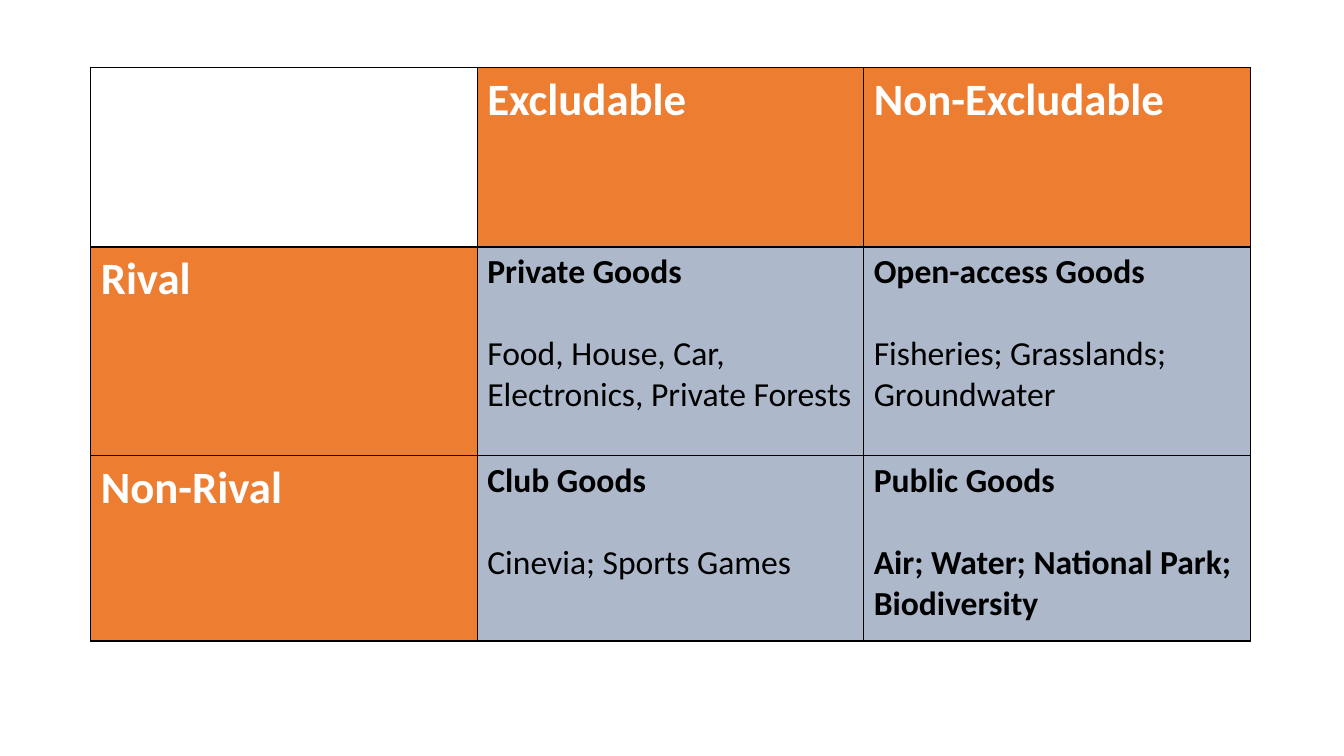
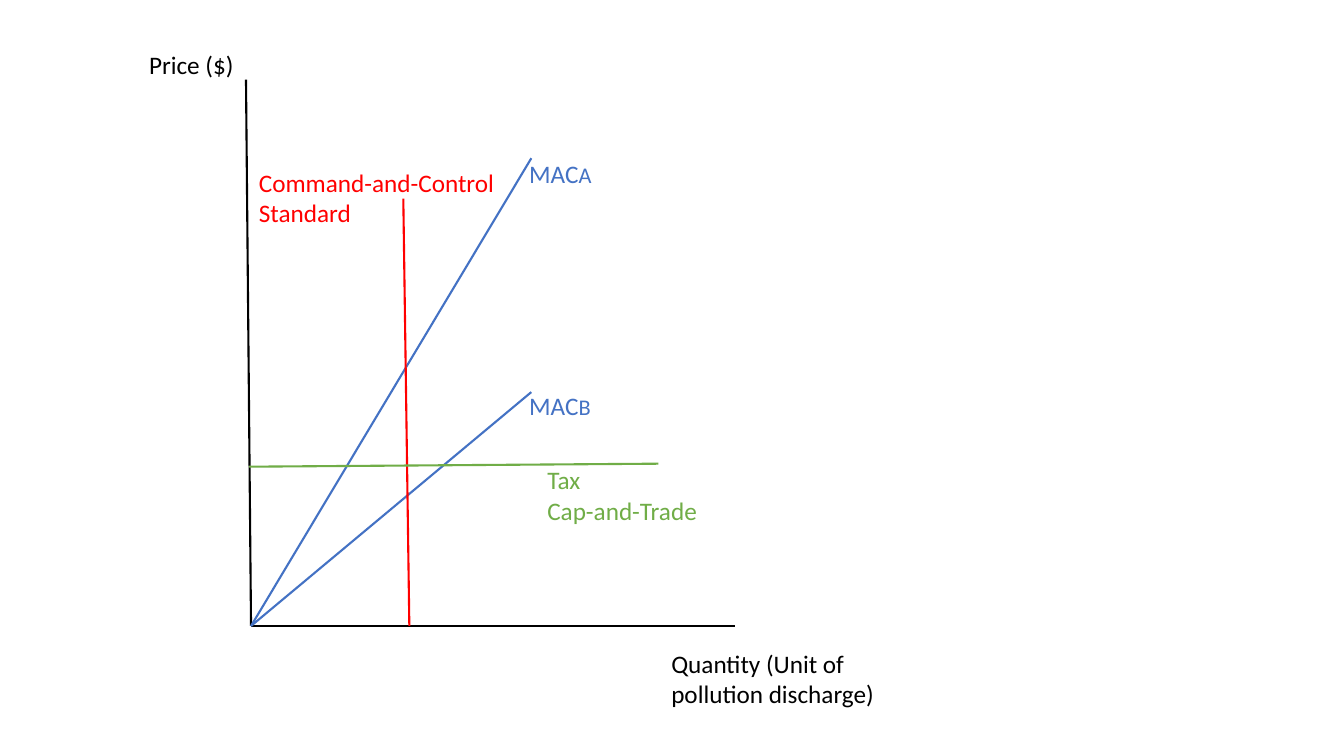
import pptx
import pptx.util
import pptx.dml.color
import pptx.enum.shapes
import pptx.enum.text
import pptx.oxml
import pptx.oxml.ns
from pptx.util import Inches, Pt

SLIDE_WIDTH, SLIDE_HEIGHT = 13.33, 7.5
FONT = "Calibri"
COLORS = {
    "black": "000000", "white": "FFFFFF", "header": "ED7D31", "goods": "ADB9CA",
    "cost": "4472C4", "standard": "FF0000", "tax": "70AD47",
}

# Text formats shared by both slides
HEADER = {"size": Pt(32), "bold": True, "color": "white"}
GOODS = {"size": Pt(24), "bold": True, "color": "black"}
EXAMPLES = {**GOODS, "bold": False}
LABEL = {"size": Pt(18), "bold": False}
SUFFIX = {**LABEL, "size": Pt(16)}


def rgb(name):
    return pptx.dml.color.RGBColor.from_string(COLORS[name])


def add_span(para, text, style):
    span = para.add_run()
    span.text = text
    for name, value in {"name": FONT, **style}.items():
        if name == "color":
            span.font.color.rgb = rgb(value)
        else:
            setattr(span.font, name, value)


def write_paras(frame, paras):
    """Fill a text frame; each paragraph is a list of (text, style) spans."""
    for index, spans in enumerate(paras):
        para = frame.paragraphs[0] if index == 0 else frame.add_paragraph()
        for text, style in spans:
            add_span(para, text, style)


# Table of goods
def add_borders(cell):
    properties = cell._tc.get_or_add_tcPr()
    for index, side in enumerate(("lnL", "lnR", "lnT", "lnB")):
        properties.insert(index, pptx.oxml.parse_xml(
            f'<a:{side} {pptx.oxml.ns.nsdecls("a")} w="{Pt(1)}"><a:solidFill>'
            f'<a:srgbClr val="{COLORS["black"]}"/></a:solidFill></a:{side}>'))


def add_goods_table(page, box, row_heights, rows):
    shape = page.shapes.add_table(len(rows), len(rows[0]), *map(Inches, box))
    table = shape.table
    table.first_row = table.horz_banding = False
    for column in table.columns:
        column.width = Inches(box[2] / len(rows[0]))
    for row, height in zip(table.rows, row_heights):
        row.height = Inches(height)
    for row_index, row in enumerate(rows):
        for column_index, spans in enumerate(row):
            cell = table.cell(row_index, column_index)
            write_paras(cell.text_frame, [[span] for span in spans])
            # Examples stand one line below the kind of goods
            for para in cell.text_frame.paragraphs[1:]:
                para.space_before = Pt(29.3)
            if spans:
                cell.fill.solid()
                is_header = row_index == 0 or column_index == 0
                cell.fill.fore_color.rgb = rgb("header" if is_header else "goods")
            else:
                cell.fill.background()
            add_borders(cell)


def build_goods_page(page):
    def goods(kind, examples, style=EXAMPLES):
        return [(kind, GOODS), (examples, style)]

    rows = [
        [[], [("Excludable", HEADER)], [("Non-Excludable", HEADER)]],
        [[("Rival", HEADER)],
         goods("Private Goods", "Food, House, Car, Electronics, Private Forests"),
         goods("Open-access Goods", "Fisheries; Grasslands; Groundwater")],
        [[("Non-Rival", HEADER)],
         goods("Club Goods", "Cinevia; Sports Games"),
         goods("Public Goods", "Air; Water; National Park; Biodiversity", GOODS)],
    ]
    add_goods_table(page, (0.9, 0.67, 11.5, 5.69), (1.78, 2.07, 1.84), rows)


# Abatement cost diagram, on a grid of 80 columns by 70 rows
def build_cost_page(page, box=(1, 0.2, 8, 7), columns=80, rows=70):
    left, top, width, height = box

    def place(column, row):
        return (Inches(left + column * width / columns),
                Inches(top + row * height / rows))

    def add_line(start, end, color):
        line = page.shapes.add_connector(
            pptx.enum.shapes.MSO_CONNECTOR.STRAIGHT, *place(*start), *place(*end))
        line.line.color.rgb = rgb(color)
        line.line.width = Pt(1.5)
        line._element.spPr.append(pptx.oxml.parse_xml(
            f'<a:effectLst {pptx.oxml.ns.nsdecls("a")}/>'))

    def add_label(at, span_columns, span_rows, color, paras):
        size = (Inches(span_columns * width / columns),
                Inches(span_rows * height / rows))
        frame = page.shapes.add_textbox(*place(*at), *size).text_frame
        frame.word_wrap = True
        frame.auto_size = pptx.enum.text.MSO_AUTO_SIZE.SHAPE_TO_FIT_TEXT
        write_paras(frame, [[(text, {**style, "color": color}) for text, style in spans]
                            for spans in paras])

    # Axes, cost curves and policy lines
    origin = (14.9, 60.1)
    for start, end, color in [
        ((14.4, 5.9), origin, "black"),
        (origin, (62.9, 60.1), "black"),
        ((42.7, 36.9), origin, "cost"),
        ((42.7, 13.7), origin, "cost"),
        ((30, 17.7), (30.6, 60.1), "standard"),
        ((14.7, 44.3), (55.3, 44), "tax"),
    ]:
        add_line(start, end, color)

    # Labels
    for at, span_columns, span_rows, color, lines in [
        ((3.8, 2.4), 13.8, 4, "black", ["Price ($)"]),
        ((55.6, 61.8), 23.7, 7.1, "black", ["Quantity (Unit of pollution discharge)"]),
        ((14.7, 14.1), 26.4, 7.1, "standard", ["Command-and-Control Standard"]),
        ((43.3, 43.6), 26.4, 7.1, "tax", ["Tax", "Cap-and-Trade"]),
    ]:
        add_label(at, span_columns, span_rows, color,
                  [[(text, LABEL)] for text in lines])
    for firm, row in (("A", 13.2), ("B", 36.2)):
        add_label((41.5, row), 10.7, 4, "cost", [[("MAC", LABEL), (firm, SUFFIX)]])


def main():
    deck = pptx.Presentation()
    deck.slide_width, deck.slide_height = Inches(SLIDE_WIDTH), Inches(SLIDE_HEIGHT)
    for build_page in (build_goods_page, build_cost_page):
        page = deck.slides.add_slide(deck.slide_layouts[6])
        page.background.fill.solid()
        page.background.fill.fore_color.rgb = rgb("white")
        build_page(page)
    deck.save("out.pptx")


if __name__ == "__main__":
    main()
